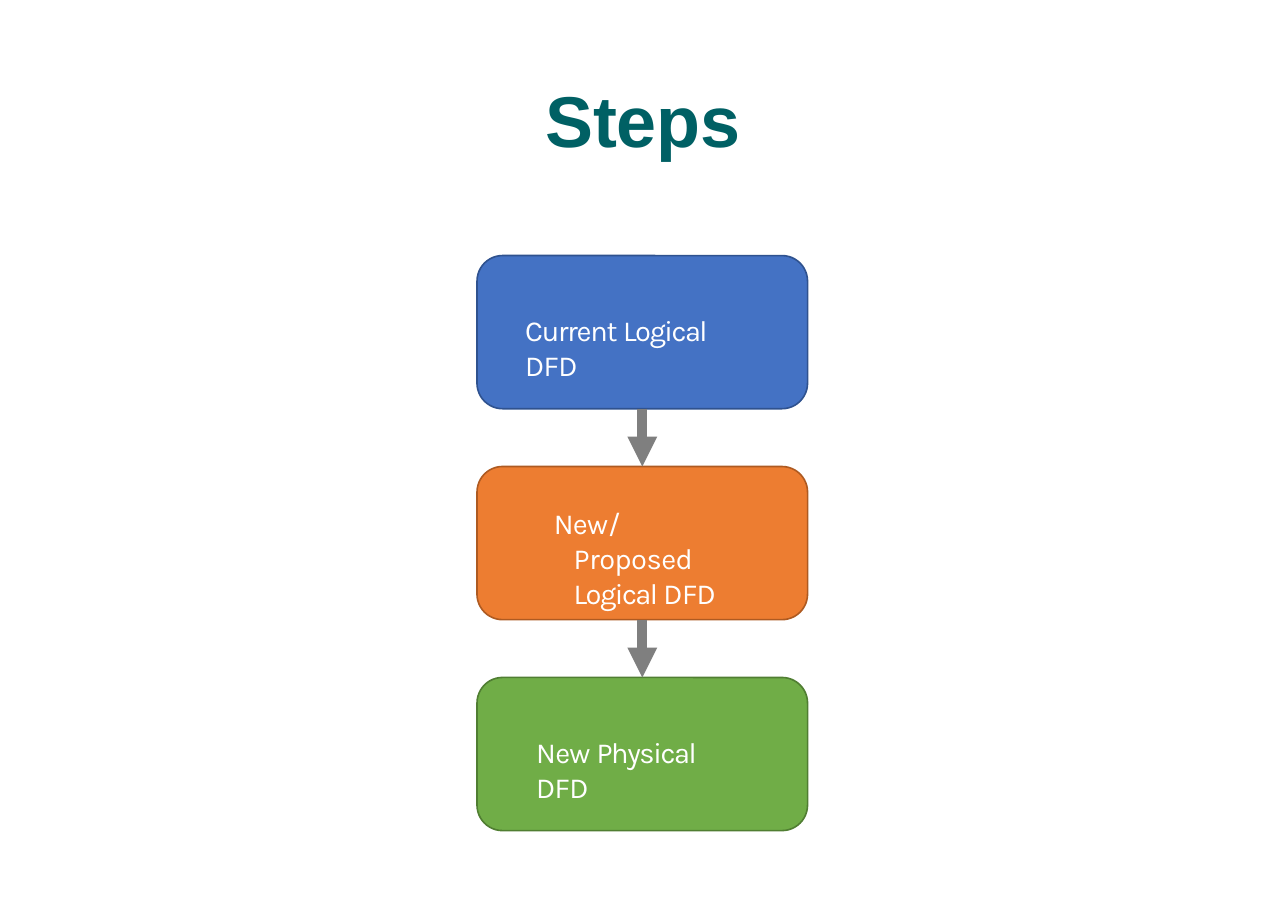
from lxml import etree
from pptx import Presentation
from pptx.dml.color import RGBColor
from pptx.enum.shapes import MSO_CONNECTOR, MSO_SHAPE
from pptx.enum.text import MSO_ANCHOR, PP_ALIGN
from pptx.oxml.ns import qn
from pptx.util import Inches, Pt

COLORS = {
    "title": "006064", "text": "FFFFFF", "arrow": "7F7F7F",
    "blue": "4472C4", "blue line": "2F528F",
    "orange": "ED7D31", "orange line": "AE5A21",
    "green": "70AD47", "green line": "507E32",
}
TITLE = [("Steps", -0.15)]
# Colour, runs with letter spacing, left and top insets, left and first-line indents
STEPS = [
    ("blue", [("Current ", -0.8), ("Logical ", -1), ("DFD", -0.4)],
     (0.36, 0.45), (0.01, 0)),
    ("orange", [("New", -0.5), ("/", -2.6), ("Proposed ", -0.3),
                ("Logical ", -1), ("DFD", -0.4)],
     (0.61, 0.29), (0.2, -0.18)),
    ("green", [("New ", -0.5), ("Physical ", -0.9), ("DFD", -0.4)],
     (0.46, 0.45), (0.01, 0)),
]
SLIDE_WIDTH, SLIDE_HEIGHT = 11.69, 8.27
STEP_LEFT, STEP_TOP = 4.33, 2.32
STEP_WIDTH, STEP_HEIGHT = 3, 1.39
STEP_PITCH = 1.915
STEP_RIGHT_INSET = 0.65


def color(name):
    return RGBColor.from_string(COLORS[name])


def write_runs(shape, runs, font_name, size, color_name, insets, bold=False):
    """Fill a shape with one left-aligned paragraph starting at its top."""
    frame = shape.text_frame
    frame.margin_left, frame.margin_top, frame.margin_right = map(Inches, insets)
    frame.margin_bottom = 0
    frame.vertical_anchor = MSO_ANCHOR.TOP
    paragraph = frame.paragraphs[0]
    paragraph.alignment = PP_ALIGN.LEFT
    for text, spacing in runs:
        run = paragraph.add_run()
        run.text = text
        run.font.name = font_name
        run.font.size = Pt(size)
        run.font.bold = bold
        run.font.color.rgb = color(color_name)
        run._r.get_or_add_rPr().set("spc", str(round(spacing * 100)))
    return paragraph


def add_step(slide, index, step):
    name, runs, (left_inset, top_inset), (indent, first_line) = step
    shape = slide.shapes.add_shape(
        MSO_SHAPE.ROUNDED_RECTANGLE,
        Inches(STEP_LEFT), Inches(STEP_TOP + index * STEP_PITCH),
        Inches(STEP_WIDTH), Inches(STEP_HEIGHT))
    shape.shadow.inherit = False
    shape.fill.solid()
    shape.fill.fore_color.rgb = color(name)
    shape.line.color.rgb = color(name + " line")
    shape.line.width = Pt(1.06)
    shape.text_frame.word_wrap = True
    paragraph = write_runs(shape, runs, "Karla", 19, "text",
                           (left_inset, top_inset, STEP_RIGHT_INSET))
    properties = paragraph._p.get_or_add_pPr()
    properties.set("marL", str(Inches(indent)))
    properties.set("indent", str(Inches(first_line)))
    return shape


def add_arrow(slide, upper, lower):
    arrow = slide.shapes.add_connector(MSO_CONNECTOR.STRAIGHT, 0, 0, 0, 0)
    arrow.begin_connect(upper, 2)
    arrow.end_connect(lower, 0)
    arrow.line.color.rgb = color("arrow")
    arrow.line.width = Pt(6.5)
    line = arrow.line._get_or_add_ln()
    etree.SubElement(line, qn("a:tailEnd"), type="triangle", w="med", len="med")
    etree.SubElement(arrow._element.spPr, qn("a:effectLst"))


def main():
    presentation = Presentation()
    presentation.slide_width = Inches(SLIDE_WIDTH)
    presentation.slide_height = Inches(SLIDE_HEIGHT)
    slide = presentation.slides.add_slide(presentation.slide_layouts[5])

    title = slide.shapes.title
    title.left, title.top = Inches(4.94), Inches(0.67)
    title.width, title.height = Inches(1.79), Inches(0.81)
    title.text_frame.word_wrap = False
    write_runs(title, TITLE, "Arial", 47, "title", (0.01, 0.02, 0), bold=True)

    shapes = [add_step(slide, index, step) for index, step in enumerate(STEPS)]
    for upper, lower in zip(shapes, shapes[1:]):
        add_arrow(slide, upper, lower)

    presentation.save("out.pptx")


if __name__ == "__main__":
    main()
